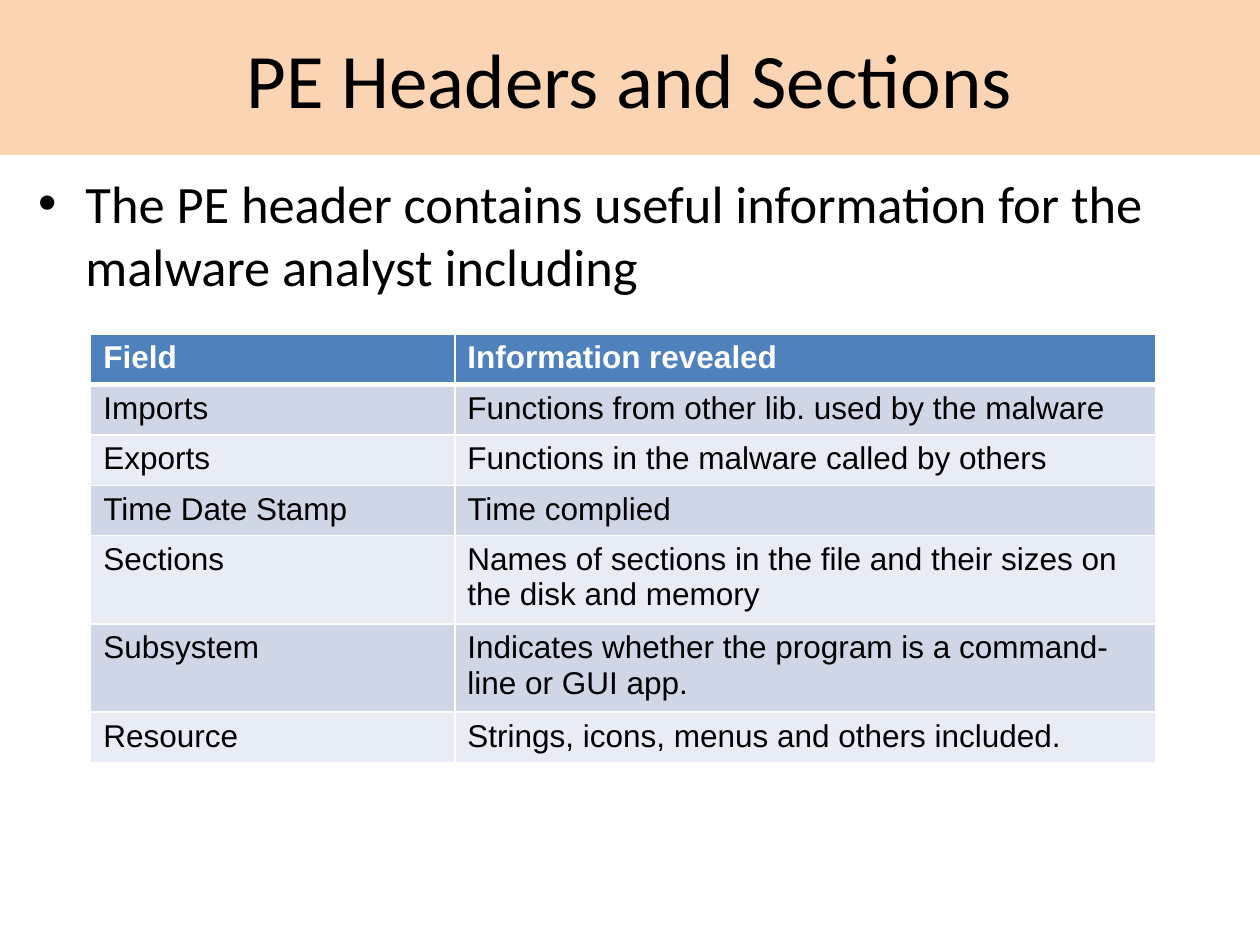
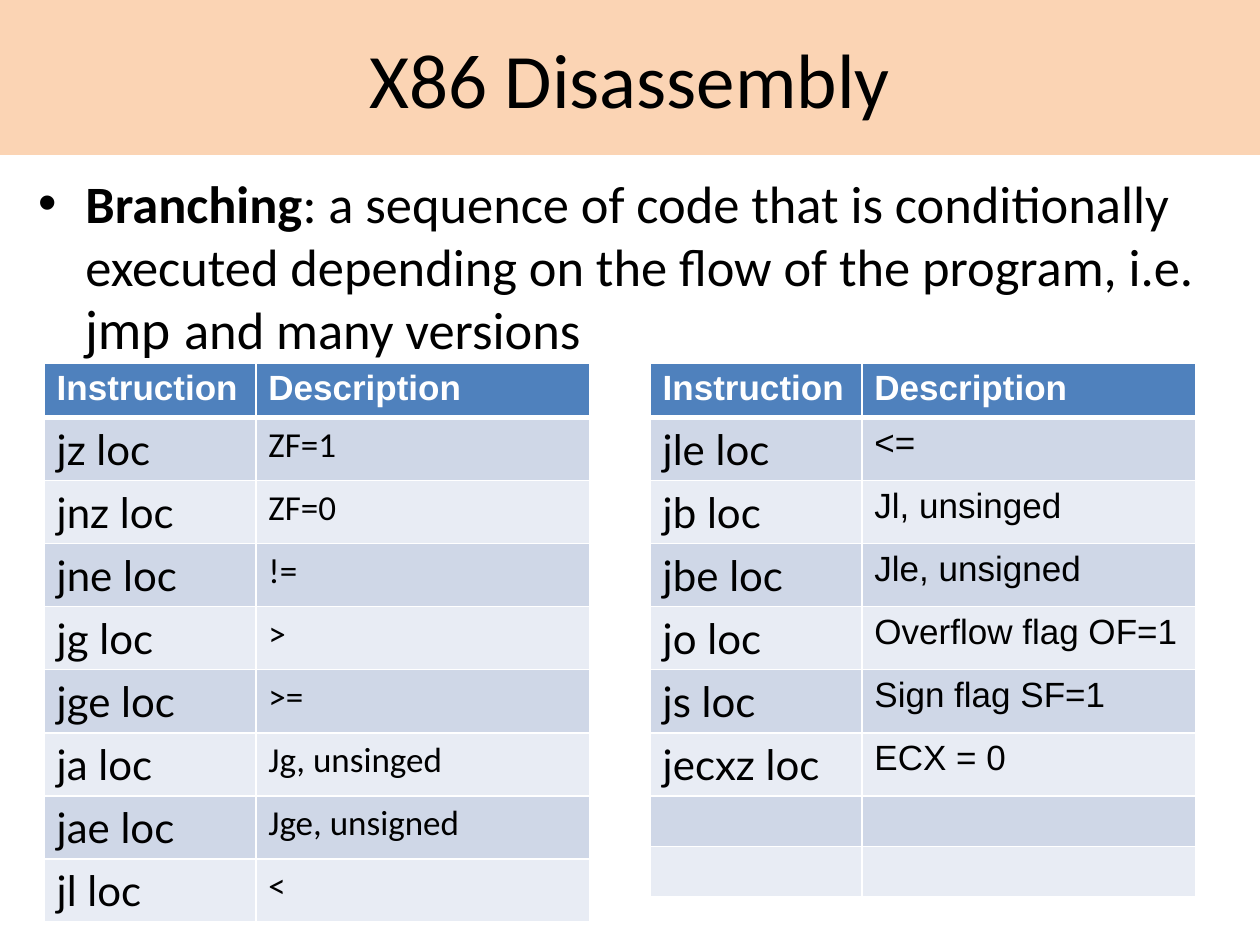
from dataclasses import dataclass

import lxml.etree
import pptx
import pptx.dml.color
import pptx.enum.shapes
import pptx.enum.text
import pptx.oxml.ns
import pptx.util

# The slide is a grid of 100 columns and 75 rows.
COLS, ROWS = 100, 75
WIDTH, HEIGHT = pptx.util.Inches(10), pptx.util.Inches(7.5)

BLACK, WHITE = "000000", "FFFFFF"
PEACH, BLUE = "FBD4B4", "4F81BD"
STRIPES = ("CFD7E7", "E8ECF4")
SANS, BODY, CODE = "Arial", "Calibri", "Lato"
THIN, THICK = 0.96, 3


@dataclass(frozen=True)
class Style:
    font: str
    size: float
    color: str = BLACK
    bold: bool = False


@dataclass(frozen=True)
class Grid:
    """A striped table; widths and heights are in grid columns and rows."""
    left: float
    top: float
    widths: tuple[float, ...]
    heights: tuple[float, ...]
    head: Style
    looks: tuple[Style, ...]
    cells: tuple[tuple[str, ...], ...]


TITLE = Style(BODY, 44)
TEXT = Style(BODY, 30)
STRONG = Style(BODY, 30, bold=True)
INLINE = Style(CODE, 30)
FIELD = Style(SANS, 18)
JUMP = Style(CODE, 24)

HEADER = Grid(
    7.2, 26.5, (28.9, 55.6), (4, 4, 4, 4, 7, 7, 4),
    Style(SANS, 18, WHITE, True), (FIELD, FIELD),
    (
        ("Field", "Information revealed"),
        ("Imports", "Functions from other lib. used by the malware"),
        ("Exports", "Functions in the malware called by others"),
        ("Time Date Stamp", "Time complied"),
        ("Sections", "Names of sections in the file and their sizes on "
                     "the disk and memory"),
        ("Subsystem", "Indicates whether the program is a command-line "
                      "or GUI app."),
        ("Resource", "Strings, icons, menus and others included."),
    ),
)

JUMPS = (
    (
        ("jz loc", "ZF=1"), ("jnz loc", "ZF=0"), ("jne loc", "!="),
        ("jg loc", ">"), ("jge loc", ">="), ("ja loc", "Jg, unsinged"),
        ("jae loc", "Jge, unsigned"), ("jl loc", "<"),
    ),
    (
        ("jle loc", "<="), ("jb loc", "Jl, unsinged"),
        ("jbe loc", "Jle, unsigned"), ("jo loc", "Overflow flag OF=1"),
        ("js loc", "Sign flag SF=1"), ("jecxz loc", "ECX = 0"),
        ("", ""), ("", ""),
    ),
)


def rgb(code: str) -> pptx.dml.color.RGBColor:
    return pptx.dml.color.RGBColor.from_string(code)


def across(cols: float) -> int:
    return round(WIDTH * cols / COLS)


def down(rows: float) -> int:
    return round(HEIGHT * rows / ROWS)


def write(para, text: str, style: Style) -> None:
    run = para.add_run()
    run.text = text
    run.font.name = style.font
    run.font.size = pptx.util.Pt(style.size)
    run.font.bold = style.bold
    run.font.color.rgb = rgb(style.color)


def node(parent, tag: str, **attrs: str):
    return lxml.etree.SubElement(parent, pptx.oxml.ns.qn(tag), **attrs)


def band(slide, title: str) -> None:
    """Draw the title on its full-width band."""
    shape = slide.shapes.add_shape(
        pptx.enum.shapes.MSO_SHAPE.RECTANGLE, 0, 0, WIDTH, down(12.3))
    shape.shadow.inherit = False
    shape.fill.solid()
    shape.fill.fore_color.rgb = rgb(PEACH)
    shape.line.fill.background()
    frame = shape.text_frame
    frame.vertical_anchor = pptx.enum.text.MSO_ANCHOR.MIDDLE
    para = frame.paragraphs[0]
    para.alignment = pptx.enum.text.PP_ALIGN.CENTER
    write(para, title, TITLE)


def bullet(slide, parts: tuple[tuple[str, Style], ...]) -> None:
    box = slide.shapes.add_textbox(
        across(2), down(13.1), across(96.1), down(55.9))
    frame = box.text_frame
    frame.word_wrap = True
    para = frame.paragraphs[0]
    props = para._p.get_or_add_pPr()
    props.set("marL", str(across(3.8)))
    props.set("indent", str(-across(3.7)))
    node(node(props, "a:buClr"), "a:srgbClr", val=BLACK)
    node(props, "a:buFont", typeface=SANS)
    node(props, "a:buChar", char="•")
    for text, style in parts:
        write(para, text, style)


def edge(cell, row: int) -> None:
    """Rule a cell in white, with a thick line under the head row."""
    props = cell._tc.get_or_add_tcPr()
    sides = {"L": THIN, "R": THIN,
             "T": THICK if row == 1 else THIN,
             "B": THICK if row == 0 else THIN}
    for spot, (side, width) in enumerate(sides.items()):
        line = node(props, f"a:ln{side}", w=str(pptx.util.Pt(width)))
        node(node(line, "a:solidFill"), "a:srgbClr", val=WHITE)
        props.insert(spot, line)


def draw(slide, grid: Grid) -> None:
    table = slide.shapes.add_table(
        len(grid.heights), len(grid.widths),
        across(grid.left), down(grid.top),
        across(sum(grid.widths)), down(sum(grid.heights))).table
    table.horz_banding = False
    for col, width in zip(table.columns, grid.widths):
        col.width = across(width)
    for row, (height, texts) in enumerate(zip(grid.heights, grid.cells)):
        table.rows[row].height = down(height)
        for col, text in enumerate(texts):
            cell = table.cell(row, col)
            cell.fill.solid()
            cell.fill.fore_color.rgb = rgb(
                STRIPES[(row - 1) % 2] if row else BLUE)
            edge(cell, row)
            if text:
                style = grid.looks[col] if row else grid.head
                write(cell.text_frame.paragraphs[0], text, style)


def jumps(left: float, font: str, rows: tuple[tuple[str, str], ...]) -> Grid:
    """Lay out one half of the list of jump instructions."""
    heights = (4.3, *(5 if name else 4 for name, _ in rows))
    return Grid(left, 28.8, (16.8, 26.5), heights,
                Style(SANS, 20, WHITE, True), (JUMP, Style(font, 20)),
                (("Instruction", "Description"), *rows))


def main() -> None:
    deck = pptx.Presentation()
    deck.slide_width, deck.slide_height = WIDTH, HEIGHT
    pages = (
        ("PE Headers and Sections",
         (("The PE header contains useful information for the malware "
           "analyst including", TEXT),),
         (HEADER,)),
        ("X86 Disassembly",
         (("Branching", STRONG),
          (": a sequence of code that is conditionally executed depending "
           "on the flow of the program, i.e. ", TEXT),
          ("jmp ", INLINE),
          ("and many versions", TEXT)),
         (jumps(3.5, BODY, JUMPS[0]), jumps(51.6, SANS, JUMPS[1]))),
    )
    for title, parts, grids in pages:
        slide = deck.slides.add_slide(deck.slide_layouts[6])
        band(slide, title)
        bullet(slide, parts)
        for grid in grids:
            draw(slide, grid)
    deck.save("out.pptx")


if __name__ == "__main__":
    main()
